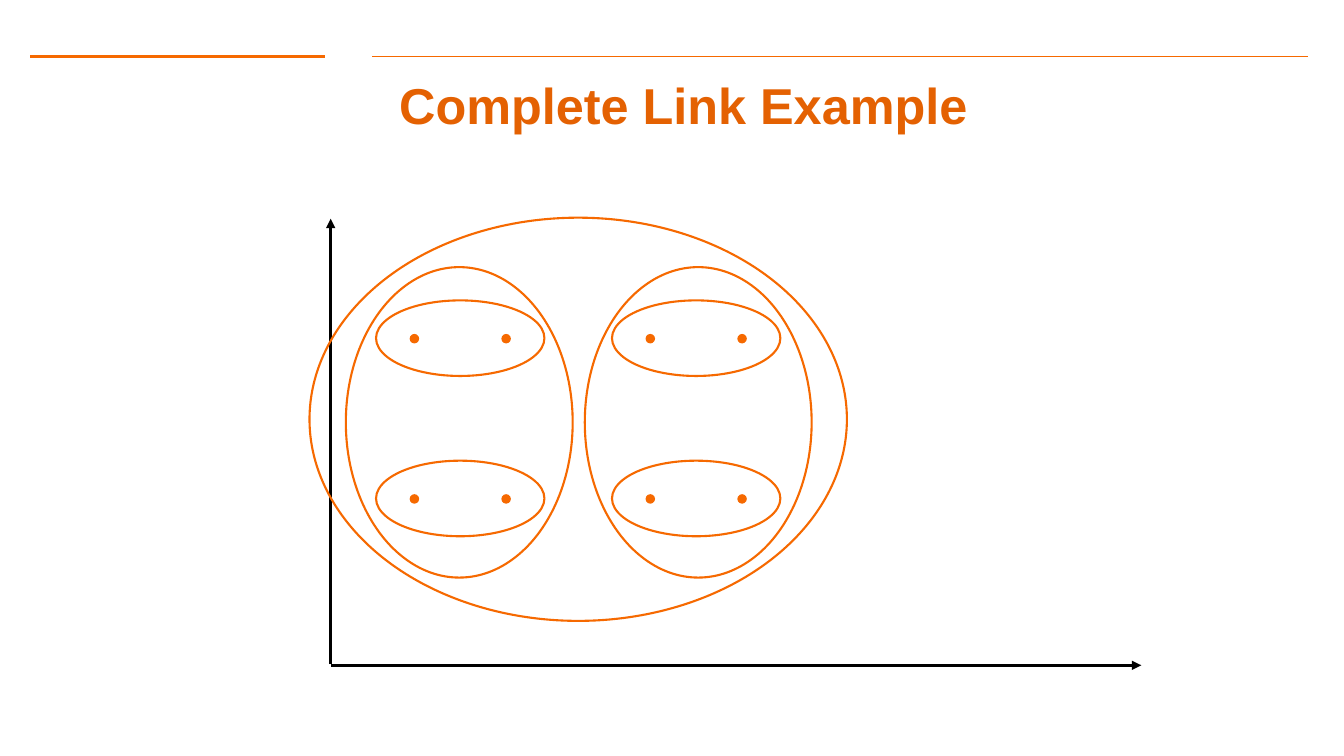
from dataclasses import dataclass
from itertools import product

import pptx
import pptx.dml.color
import pptx.enum.shapes
import pptx.enum.text
import pptx.oxml
import pptx.oxml.ns
import pptx.util
from pptx.util import Inches


@dataclass(frozen=True)
class Theme:
    accent: str = "F66900"
    title: str = "E46102"
    axis: str = "000000"
    font: str = "Arial"
    title_size: float = 36


THEME = Theme()

POINT_SIZE = 0.08
PAIR_SIZE = (1.67, 0.75)
COLUMN_SIZE = (2.25, 3.08)
PAIR_LEFTS = (3.73, 6.07)
PAIR_TOPS = (2.98, 4.57)
POINT_OFFSETS = (0.34, 1.25)
COLUMN_LEFTS = (3.43, 5.8)
COLUMN_TOP = 2.65


def rgb(colour):
    return pptx.dml.color.RGBColor.from_string(colour)


def add_title(slide, text):
    title = slide.shapes.title
    title.left, title.top = Inches(0.78), Inches(0.76)
    title.width, title.height = Inches(12), Inches(0.55)
    frame = title.text_frame
    frame.word_wrap = True
    frame.auto_size = pptx.enum.text.MSO_AUTO_SIZE.NONE
    frame.vertical_anchor = pptx.enum.text.MSO_ANCHOR.MIDDLE
    frame.margin_left = frame.margin_right = Inches(0.13)
    frame.margin_top = frame.margin_bottom = Inches(0.13)
    paragraph = frame.paragraphs[0]
    paragraph.alignment = pptx.enum.text.PP_ALIGN.CENTER
    run = paragraph.add_run()
    run.text = text
    run.font.name = THEME.font
    run.font.size = pptx.util.Pt(THEME.title_size)
    run.font.bold = True
    run.font.color.rgb = rgb(THEME.title)


def add_line(slide, start, end, colour, width, arrow=False):
    line = slide.shapes.add_connector(
        pptx.enum.shapes.MSO_CONNECTOR.STRAIGHT,
        *(Inches(value) for value in (*start, *end)))
    line.line.color.rgb = rgb(colour)
    line.line.width = pptx.util.Pt(width)
    if arrow:
        tail = pptx.oxml.parse_xml(
            f'<a:tailEnd {pptx.oxml.ns.nsdecls("a")} type="triangle"/>')
        line.line._get_or_add_ln().append(tail)
    no_effects = pptx.oxml.parse_xml(
        f'<a:effectLst {pptx.oxml.ns.nsdecls("a")}/>')
    line._element.spPr.append(no_effects)


def add_ellipse(slide, left, top, width, height, line_width=1.5, filled=False):
    ellipse = slide.shapes.add_shape(
        pptx.enum.shapes.MSO_SHAPE.OVAL,
        Inches(left), Inches(top), Inches(width), Inches(height))
    ellipse.shadow.inherit = False
    if filled:
        ellipse.fill.solid()
        ellipse.fill.fore_color.rgb = rgb(THEME.accent)
    else:
        ellipse.fill.background()
    ellipse.line.color.rgb = rgb(THEME.accent)
    ellipse.line.width = pptx.util.Pt(line_width)


def add_pair(slide, left, top):
    """Draw two data points and the first-level cluster around them."""
    for offset in POINT_OFFSETS:
        add_ellipse(slide, left + offset, top + 0.34, POINT_SIZE, POINT_SIZE,
                    line_width=1, filled=True)
    add_ellipse(slide, left, top, *PAIR_SIZE)


def main():
    deck = pptx.Presentation()
    deck.slide_width, deck.slide_height = Inches(13.33), Inches(7.5)
    slide = deck.slides.add_slide(deck.slide_layouts.get_by_name("Title Only"))

    add_line(slide, (0.3, 0.56), (3.22, 0.56), THEME.accent, 2)
    add_line(slide, (3.69, 0.56), (12.97, 0.56), THEME.accent, 1)
    add_title(slide, "Complete Link Example")

    add_line(slide, (3.28, 6.59), (3.28, 2.17), THEME.axis, 2.25, arrow=True)
    add_line(slide, (3.28, 6.6), (11.32, 6.6), THEME.axis, 2.25, arrow=True)

    for left, top in product(PAIR_LEFTS, PAIR_TOPS):
        add_pair(slide, left, top)
    for left in COLUMN_LEFTS:
        add_ellipse(slide, left, COLUMN_TOP, *COLUMN_SIZE)
    add_ellipse(slide, 3.07, 2.16, 5.33, 4)

    deck.save("out.pptx")


if __name__ == "__main__":
    main()
